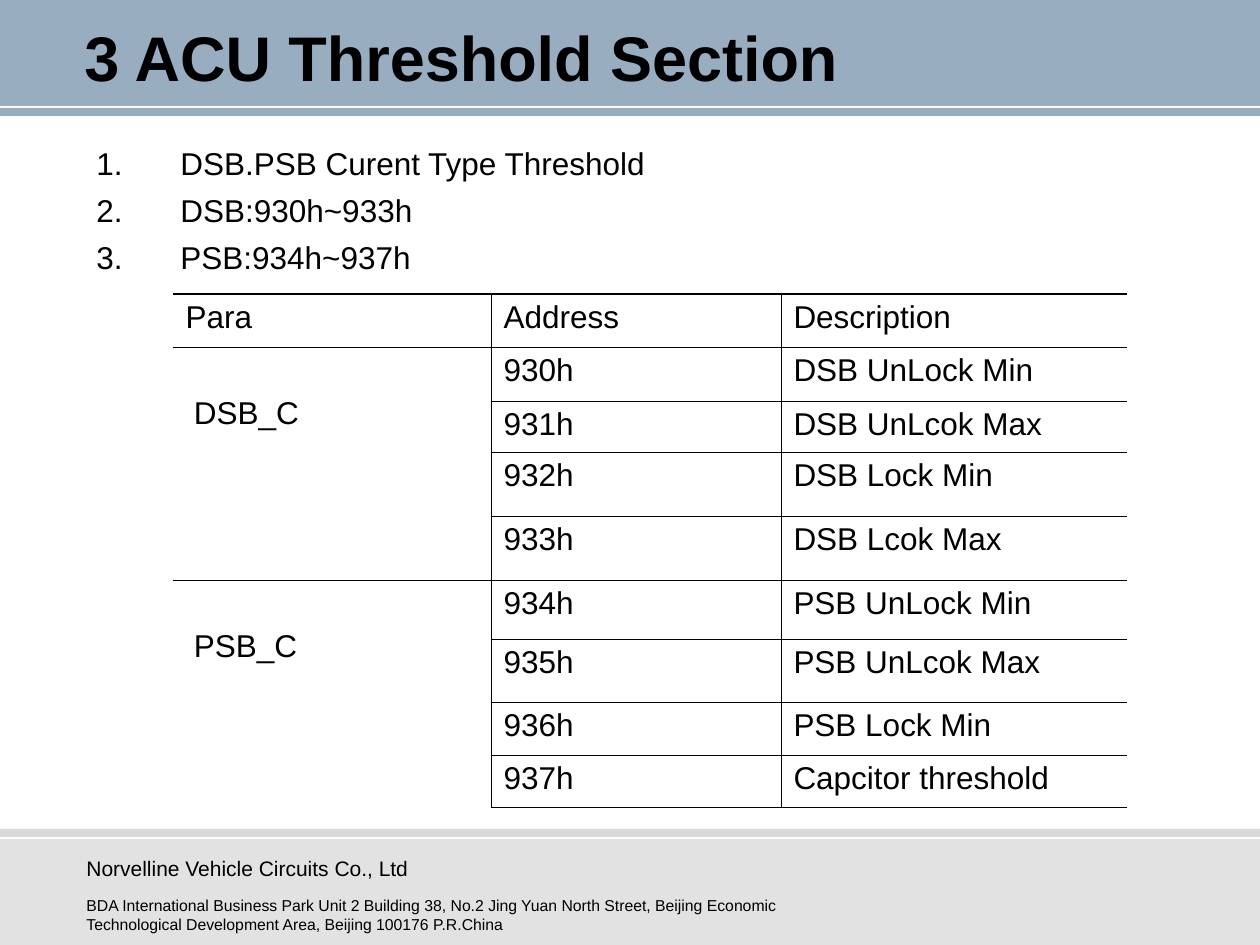
from pptx import Presentation
from pptx.dml.color import RGBColor
from pptx.enum.shapes import MSO_SHAPE
from pptx.enum.text import MSO_ANCHOR
from pptx.oxml.xmlchemy import OxmlElement
from pptx.util import Pt

RECTANGLE = MSO_SHAPE.RECTANGLE
MIDDLE = MSO_ANCHOR.MIDDLE
TOP = MSO_ANCHOR.TOP
PX = 7257  # EMU in one px, at 126 px to the inch
WIDTH, HEIGHT = 1260, 945
FONT, BLACK = "Arial", "000000"
THIN, THICK = 0.45, 1.08

# Content
TITLE = "3 ACU Threshold Section"
THRESHOLDS = ["DSB.PSB Curent Type Threshold", "DSB:930h~933h", "PSB:934h~937h"]
COMPANY = "Norvelline Vehicle Circuits Co., Ltd"
ADDRESS = ("BDA International Business Park Unit 2 Building 38, No.2 Jing Yuan North Street, "
           "Beijing Economic Technological Development Area, Beijing 100176 P.R.China")
HEADER = ["Para", "Address", "Description"]
GROUPS = [
    ("DSB_C", [("930h", "DSB UnLock Min"), ("931h", "DSB UnLcok Max"),
               ("932h", "DSB Lock Min"), ("933h", "DSB Lcok Max")]),
    ("PSB_C", [("934h", "PSB UnLock Min"), ("935h", "PSB UnLcok Max"),
               ("936h", "PSB Lock Min"), ("937h", "Capcitor threshold")]),
]
COLUMN_WIDTHS = [318, 290, 346]
ROW_HEIGHTS = [53, 54, 51, 64, 64, 59, 63, 53, 53]
# Bands: top, height, colour, opacity in percent
BANDS = [(0, 106, "003366", 40), (108, 8, "003366", 40),
         (829, 8, "C0C0C0", 60), (839, 106, "C0C0C0", 46)]


def px(*values):
    return [value * PX for value in values]


def color(value):
    return RGBColor.from_string(value)


def add_child(parent, tag, **attributes):
    child = OxmlElement(tag)
    for name, value in attributes.items():
        child.set(name, str(value))
    parent.append(child)
    return child


def style(paragraph, size, bold=False):
    paragraph.font.name = FONT
    paragraph.font.size = Pt(size)
    paragraph.font.bold = bold
    paragraph.font.color.rgb = color(BLACK)


def add_band(slide, top, height, fill, opacity):
    band = slide.shapes.add_shape(RECTANGLE, *px(0, top, WIDTH, height))
    band.shadow.inherit = False
    band.line.fill.background()
    band.fill.solid()
    band.fill.fore_color.rgb = color(fill)
    fill_color = band.fill._xPr.find(".//{*}srgbClr")
    add_child(fill_color, "a:alpha", val=opacity * 1000)


def add_text(slide, box, lines, size, bold=False, anchor=TOP, numbered=False):
    frame = slide.shapes.add_textbox(*px(*box)).text_frame
    frame.word_wrap = True
    frame.vertical_anchor = anchor
    for index, line in enumerate(lines):
        paragraph = frame.paragraphs[0] if index == 0 else frame.add_paragraph()
        paragraph.text = line
        if index:
            paragraph.space_before = Pt(5.3)
        if numbered:
            properties = paragraph._p.get_or_add_pPr()
            properties.set("marL", str(84 * PX))
            properties.set("indent", str(-84 * PX))
            add_child(properties, "a:buFont", typeface=FONT)
            add_child(properties, "a:buAutoNum", type="arabicPeriod")
        style(paragraph, size, bold)


def set_borders(cell, left, right, top, bottom):
    properties = cell._tc.get_or_add_tcPr()
    for side, width in zip("LRTB", (left, right, top, bottom)):
        line = add_child(properties, f"a:ln{side}", w=Pt(width))
        if width:
            fill = add_child(line, "a:solidFill")
            add_child(fill, "a:srgbClr", val=BLACK)
        else:
            add_child(line, "a:noFill")


def add_threshold_table(slide, left, top):
    rows, columns = len(ROW_HEIGHTS), len(COLUMN_WIDTHS)
    table = slide.shapes.add_table(
        rows, columns, *px(left, top, sum(COLUMN_WIDTHS), sum(ROW_HEIGHTS))).table
    table.first_row = table.horz_banding = False
    for column, width in zip(table.columns, COLUMN_WIDTHS):
        column.width = width * PX
    for row, height in zip(table.rows, ROW_HEIGHTS):
        row.height = height * PX

    # One text row per table row; a group's name stands in its first row
    texts = [HEADER]
    starts = {0, rows}
    for name, entries in GROUPS:
        first = len(texts)
        starts.update({first, first + len(entries)})
        for index, entry in enumerate(entries):
            texts.append([name if index == 0 else "", *entry])
        table.cell(first, 0).merge(table.cell(first + len(entries) - 1, 0))

    for r in range(rows):
        for c in range(columns):
            cell = table.cell(r, c)
            cell.text = texts[r][c]
            style(cell.text_frame.paragraphs[0], 18)
            if cell.is_merge_origin:
                cell.margin_left, cell.margin_top = px(21, 49)
            set_borders(
                cell,
                left=THIN if c else 0,
                right=THIN if c < columns - 1 else 0,
                top=THICK if r == 0 else THIN if c or r in starts else 0,
                bottom=THIN if c or r + 1 in starts else 0)
            cell.fill.background()


def main():
    presentation = Presentation()
    presentation.slide_width, presentation.slide_height = px(WIDTH, HEIGHT)
    slide = presentation.slides.add_slide(presentation.slide_layouts[6])

    # Header and footer bands
    for band in BANDS:
        add_band(slide, *band)

    # Footer
    add_text(slide, (74, 849, 804, 39), [COMPANY], 12)
    add_text(slide, (74, 890, 804, 55), [ADDRESS], 9)

    # Title, numbered list and table
    add_text(slide, (72, 16, 1114, 80), [TITLE], 36, bold=True, anchor=MIDDLE)
    add_text(slide, (84, 138, 1153, 148), THRESHOLDS, 18, numbered=True)
    add_threshold_table(slide, 173, 294)

    presentation.save("out.pptx")


if __name__ == "__main__":
    main()
